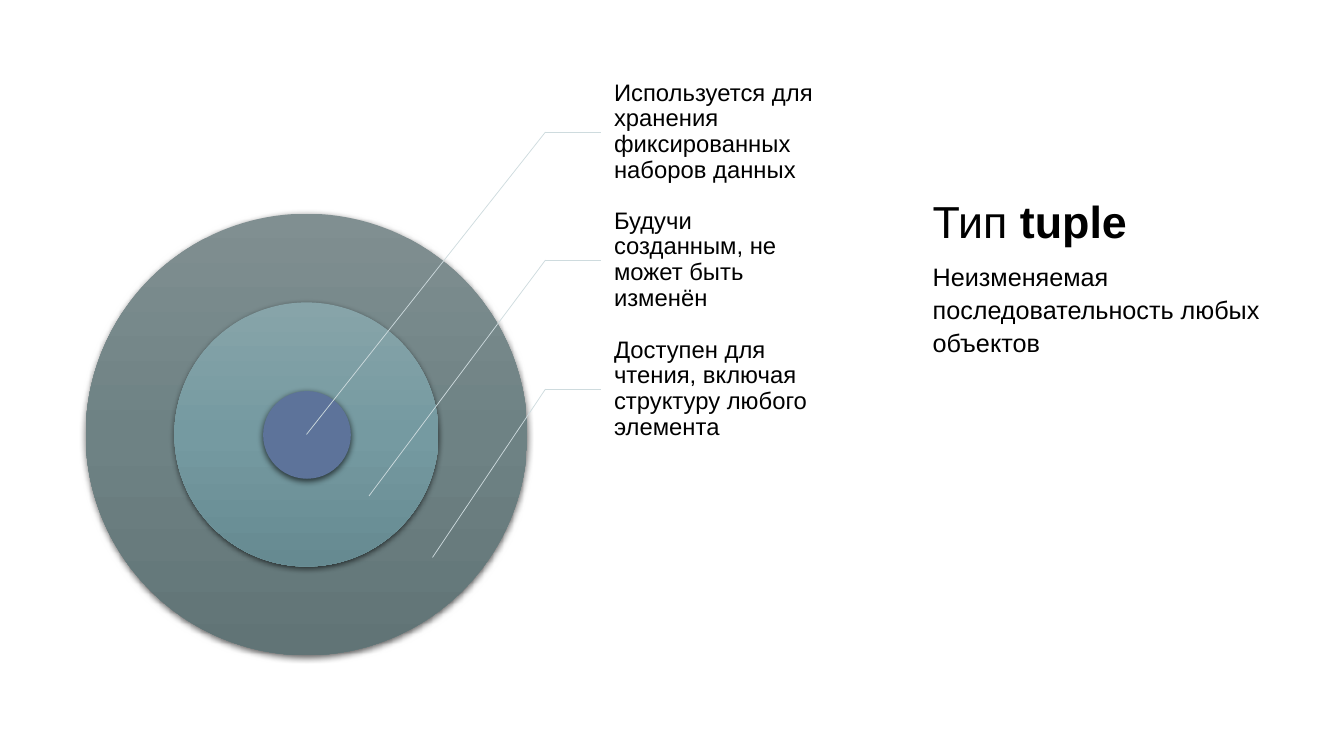
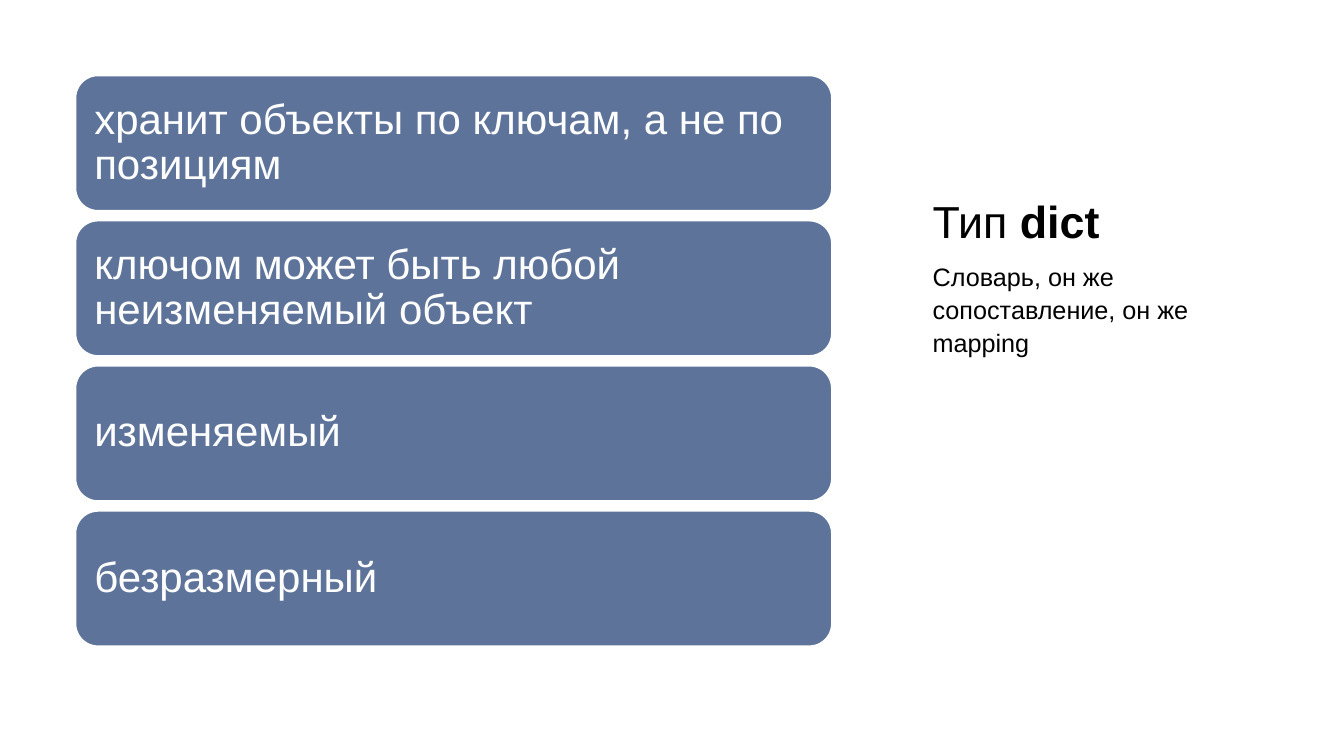
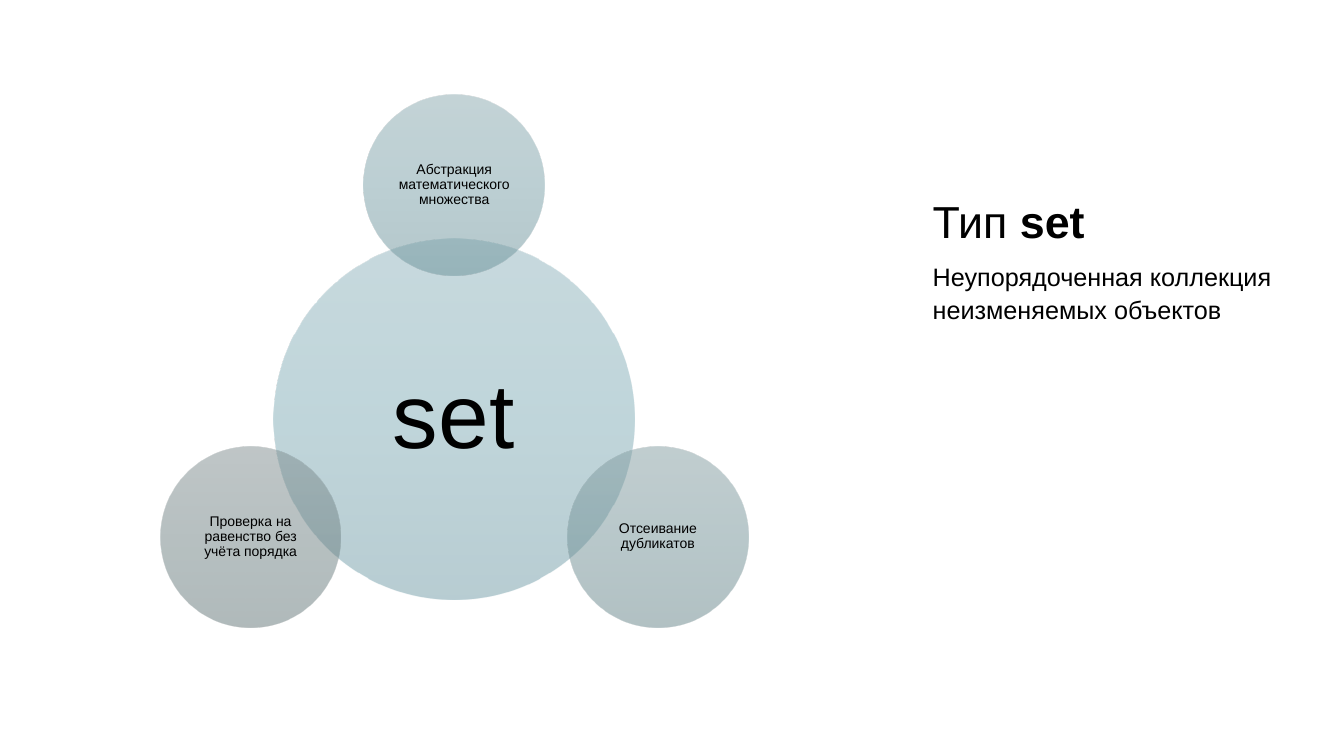
import math
from dataclasses import dataclass

from lxml import etree
from pptx import Presentation
from pptx.dml.color import RGBColor
from pptx.enum import shapes, text
from pptx.oxml import ns
from pptx.util import Emu, Pt

SCALE = 9144  # EMU in one px, 100 px to the inch


# Theme
@dataclass(frozen=True)
class Theme:
    font: str = "Arial"
    ink: str = "000000"
    white: str = "FFFFFF"
    blue: str = "5D739A"
    rule: str = "CEDBDE"
    slate: tuple = ("808F91", "6E8284", "617476")
    teal: tuple = ("87A4A9", "759AA1", "668A91")
    pale: tuple = ("92B5BE", "82AEB8", "709CA7")
    mist: tuple = ("8BAAB0", "79A1A9", "699199")
    sage: tuple = ("849EA2", "729398", "648489")
    title: int = 32
    body: int = 18
    note: int = 17
    card: int = 30
    hub: int = 65
    small: int = 10


THEME = Theme()


@dataclass(frozen=True)
class Disc:
    """A circle given by its centre and diameter."""
    x: int
    y: int
    size: int
    hues: tuple
    words: str = ""
    point: int = 0
    inset: int = 0
    alpha: int = 100
    shade: bool = False


def px(count: int) -> Emu:
    return Emu(count * SCALE)


def tint(code: str) -> RGBColor:
    return RGBColor.from_string(code)


def add(parent, tag: str, **attrs):
    node = etree.SubElement(parent, ns.qn(tag))
    for key, value in attrs.items():
        node.set(key, str(value))
    return node


# Text
def write(frame, words: str, *, size: int, strong: str = "", color: str = THEME.ink,
          align=text.PP_ALIGN.LEFT, anchor=text.MSO_ANCHOR.MIDDLE,
          inset: tuple = (0, 0, 0, 0), lead: float = 0.9, before: int = 0):
    frame.word_wrap = True
    frame.auto_size = text.MSO_AUTO_SIZE.NONE
    frame.vertical_anchor = anchor
    (frame.margin_left, frame.margin_top,
     frame.margin_right, frame.margin_bottom) = map(px, inset)
    para = frame.paragraphs[0]
    para.alignment, para.line_spacing, para.space_before = align, lead, Pt(before)
    for part, bold in ((words, False), (strong, True)):
        if part:
            run = para.add_run()
            run.text = part
            run.font.name, run.font.size, run.font.bold = THEME.font, Pt(size), bold
            run.font.color.rgb = tint(color)
    return para


# Shapes
def place(shape, left: int, top: int, width: int, height: int) -> None:
    shape.left, shape.top, shape.width, shape.height = map(px, (left, top, width, height))


def blend(shape, hues: tuple, alpha: int) -> None:
    shape.fill.gradient()
    shape.fill.gradient_angle = 270
    stops = shape._element.spPr.find(".//" + ns.qn("a:gsLst"))
    for stop in list(stops):
        stops.remove(stop)
    for spot, hue in enumerate(hues):
        stop = add(stops, "a:gs", pos=spot * 50000)
        color = add(stop, "a:srgbClr", val=hue)
        if alpha < 100:
            add(color, "a:alpha", val=alpha * 1000)


def cast(shape) -> None:
    effect = shape._element.spPr.find(ns.qn("a:effectLst"))
    shadow = add(effect, "a:outerShdw", blurRad=Pt(4.5), dist=Pt(1.5),
                 dir=5400000, algn="ctr", rotWithShape=0)
    add(add(shadow, "a:srgbClr", val=THEME.ink), "a:alpha", val=63000)


def draw(slide, disc: Disc) -> None:
    half = disc.size // 2
    shape = slide.shapes.add_shape(
        shapes.MSO_SHAPE.OVAL, px(disc.x - half), px(disc.y - half),
        px(disc.size), px(disc.size))
    shape.line.fill.background()
    shape.shadow.inherit = False
    if len(disc.hues) > 1:
        blend(shape, disc.hues, disc.alpha)
    else:
        shape.fill.solid()
        shape.fill.fore_color.rgb = tint(disc.hues[0])
    if disc.shade:
        cast(shape)
    if disc.words:
        write(shape.text_frame, disc.words, size=disc.point,
              align=text.PP_ALIGN.CENTER, inset=(disc.inset,) * 4)


def link(slide, start: tuple, end: tuple) -> None:
    line = slide.shapes.add_connector(
        shapes.MSO_CONNECTOR.STRAIGHT, *map(px, start + end))
    line.line.color.rgb = tint(THEME.rule)
    line.line.width = Pt(0.5)
    add(line._element.spPr, "a:effectLst")


# Shared side column
def start(deck, name: str, about: str):
    slide = deck.slides.add_slide(deck.slide_layouts[1])
    title, body = slide.placeholders
    place(title, 925, 66, 346, 180)
    write(title.text_frame, "Тип ", strong=name, size=THEME.title,
          anchor=text.MSO_ANCHOR.BOTTOM, lead=1.0)
    place(body, 925, 256, 346, 394)
    para = write(body.text_frame, about, size=THEME.body,
                 anchor=text.MSO_ANCHOR.TOP, lead=1.1, before=8)
    props = para._p.get_or_add_pPr()
    props.set("marL", "0")
    props.set("indent", "0")
    add(props, "a:buNone")
    return slide


# Slide 1: rings with callouts
def rings(deck) -> None:
    slide = start(deck, "tuple", "Неизменяемая последовательность любых объектов")
    x, y = 304, 431
    for size, hues in ((438, THEME.slate), (262, THEME.teal), (87, (THEME.blue,))):
        draw(slide, Disc(x, y, size, hues, shade=True))
    notes = ("Используется для хранения фиксированных наборов данных",
             "Будучи созданным, не может быть изменён",
             "Доступен для чтения, включая структуру любого элемента")
    for row, words in enumerate(notes):
        top = 67 + row * 255 // 2
        box = slide.shapes.add_textbox(px(596), px(top), px(219), px(128))
        write(box.text_frame, words, size=THEME.note, inset=(13, 2, 2, 2))
        bend = (541, top + 64)
        link(slide, bend, (596, top + 64))
        link(slide, bend, (x + row * 125 // 2, y + row * 61))


# Slide 2: stack of cards
def cards(deck) -> None:
    slide = start(deck, "dict", "Словарь, он же сопоставление, он же mapping")
    facts = ("хранит объекты по ключам, а не по позициям",
             "ключом может быть любой неизменяемый объект",
             "изменяемый", "безразмерный")
    for row, words in enumerate(facts):
        card = slide.shapes.add_shape(
            shapes.MSO_SHAPE.ROUNDED_RECTANGLE,
            px(75), px(75 + row * 144), px(750), px(134))
        card.shadow.inherit = False
        card.fill.solid()
        card.fill.fore_color.rgb = tint(THEME.blue)
        card.line.color.rgb = tint(THEME.white)
        card.line.width = Pt(1)
        write(card.text_frame, words, size=THEME.card, color=THEME.white,
              inset=(12,) * 4)


# Slide 3: hub with three satellites
def orbit(deck) -> None:
    slide = start(deck, "set", "Неупорядоченная коллекция неизменяемых объектов")
    x, y, reach = 450, 416, 233
    draw(slide, Disc(x, y, 358, THEME.pale, "set", THEME.hub, 9, 50))
    moons = (("Абстракция математического множества", THEME.mist),
             ("Отсеивание дубликатов", THEME.sage),
             ("Проверка на равенство без учёта порядка", THEME.slate))
    for turn, (words, hues) in enumerate(moons):
        angle = math.radians(120 * turn - 90)
        draw(slide, Disc(x + round(reach * math.cos(angle)),
                         y + round(reach * math.sin(angle)),
                         179, hues, words, THEME.small, 1, 50))


def main() -> None:
    deck = Presentation()
    deck.slide_width, deck.slide_height = px(1333), px(750)
    for build in (rings, cards, orbit):
        build(deck)
    deck.save("out.pptx")


if __name__ == "__main__":
    main()
